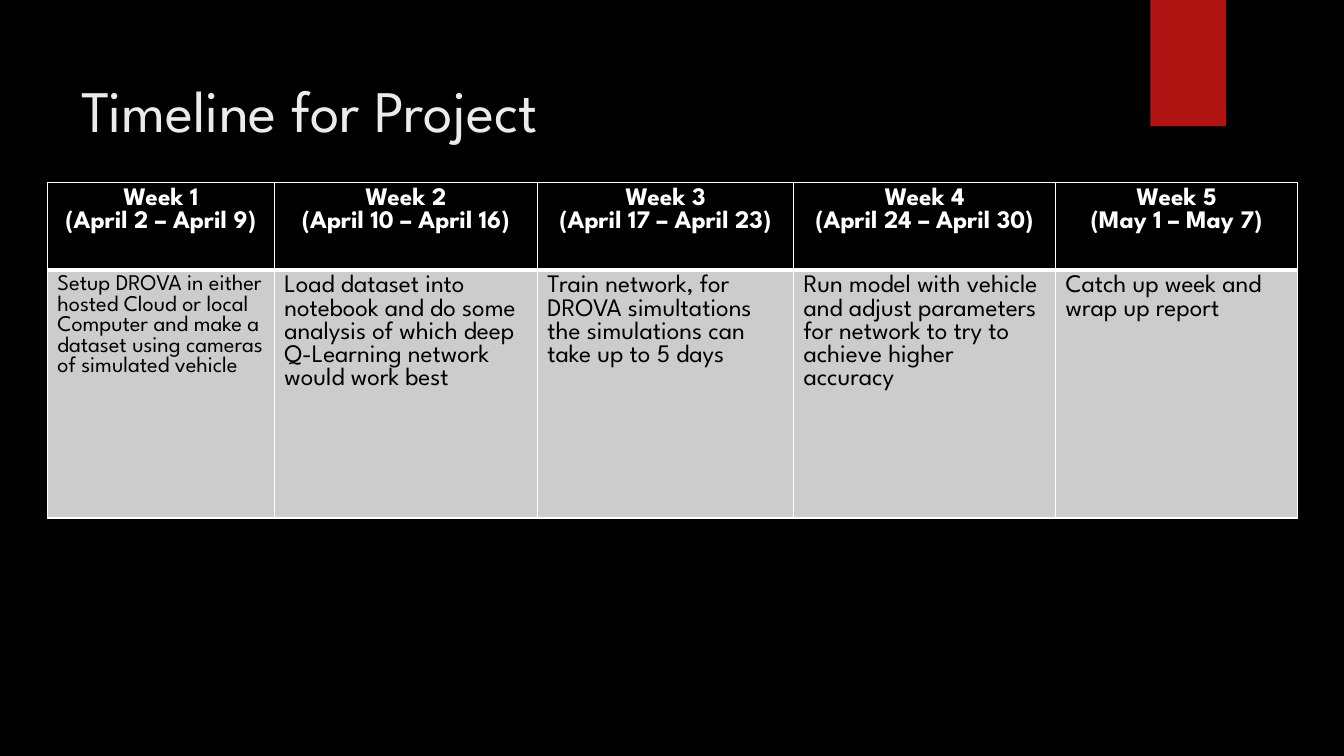
import pptx
import pptx.util
import pptx.dml.color
import pptx.enum.shapes
import pptx.enum.text
import pptx.oxml
import pptx.oxml.ns

Inches = pptx.util.Inches
Pt = pptx.util.Pt
RGBColor = pptx.dml.color.RGBColor

BLACK = RGBColor(0x00, 0x00, 0x00)
WHITE = RGBColor(0xFF, 0xFF, 0xFF)
GREY = RGBColor(0xCC, 0xCC, 0xCC)
PALE = RGBColor(0xEB, 0xEB, 0xEB)
RED = RGBColor(0xB0, 0x15, 0x13)
FONT = "League Spartan"

WIDTHS = [2.25, 2.61, 2.54, 2.6, 2.4]
HEIGHTS = [0.87, 2.46]
# Heading, dates, task, task size
WEEKS = [
    ("Week 1", "(April 2 – April 9)",
     "Setup DROVA in either hosted Cloud or local Computer and make a "
     "dataset using cameras of simulated vehicle", 16),
    ("Week 2", "(April 10 – April 16)",
     "Load dataset into notebook and do some analysis of which deep "
     "Q-Learning network would work best", 18),
    ("Week 3", "(April 17 – April 23)",
     "Train network, for DROVA simultations the simulations can take "
     "up to 5 days", 18),
    ("Week 4", "(April 24 – April 30)",
     "Run model with vehicle and adjust parameters for network to try to "
     "achieve higher accuracy", 18),
    ("Week 5", "(May 1 – May 7)", "Catch up week and wrap up report", 18),
]


def style(frame, size, color, bold=False, align=None):
    for para in frame.paragraphs:
        para.alignment = align
        for run in para.runs:
            run.font.name = FONT
            run.font.size = Pt(size)
            run.font.bold = bold
            run.font.color.rgb = color


def border(cell, **points):
    """Draw the white sides L, R, T and B at the given widths."""
    props = cell._tc.get_or_add_tcPr()
    for side, width in points.items():
        props.append(pptx.oxml.parse_xml(
            f'<a:ln{side} {pptx.oxml.ns.nsdecls("a")} w="{Pt(width)}">'
            f'<a:solidFill><a:srgbClr val="{WHITE}"/></a:solidFill>'
            f'</a:ln{side}>'))


def paint(cell, color):
    cell.fill.solid()
    cell.fill.fore_color.rgb = color


def ribbon(slide, left, top, width, height):
    shape = slide.shapes.add_shape(
        pptx.enum.shapes.MSO_SHAPE.RECTANGLE,
        Inches(left), Inches(top), Inches(width), Inches(height))
    shape.shadow.inherit = False
    shape.fill.solid()
    shape.fill.fore_color.rgb = RED
    shape.line.fill.background()


def title(slide, left, top, width, height):
    box = slide.shapes.add_textbox(
        Inches(left), Inches(top), Inches(width), Inches(height))
    frame = box.text_frame
    frame.word_wrap = True
    frame.margin_top = Inches(0.23)
    frame.text = "Timeline for Project"
    style(frame, 42, PALE)


def timeline(slide, left, top):
    table = slide.shapes.add_table(
        len(HEIGHTS), len(WEEKS), Inches(left), Inches(top),
        Inches(sum(WIDTHS)), Inches(sum(HEIGHTS))).table
    for row, height in zip(table.rows, HEIGHTS):
        row.height = Inches(height)
    for col, (week, dates, task, size) in enumerate(WEEKS):
        table.columns[col].width = Inches(WIDTHS[col])
        head, body = table.cell(0, col), table.cell(1, col)
        head.text_frame.text = f"{week}\n{dates}"
        style(head.text_frame, 18, WHITE, True,
              pptx.enum.text.PP_ALIGN.CENTER)
        border(head, L=1, R=1, T=1, B=3)
        paint(head, BLACK)
        body.text_frame.text = task
        style(body.text_frame, size, BLACK)
        border(body, L=1, R=1, T=3, B=1)
        paint(body, GREY)


def main():
    deck = pptx.Presentation()
    deck.slide_width = Inches(13.33)
    deck.slide_height = Inches(7.5)
    slide = deck.slides.add_slide(deck.slide_layouts[6])
    slide.background.fill.solid()
    slide.background.fill.fore_color.rgb = BLACK
    ribbon(slide, 11.41, 0, 0.75, 1.25)
    title(slide, 0.71, 0.5, 10.29, 1.53)
    timeline(slide, 0.47, 1.81)
    deck.save("out.pptx")


if __name__ == "__main__":
    main()
